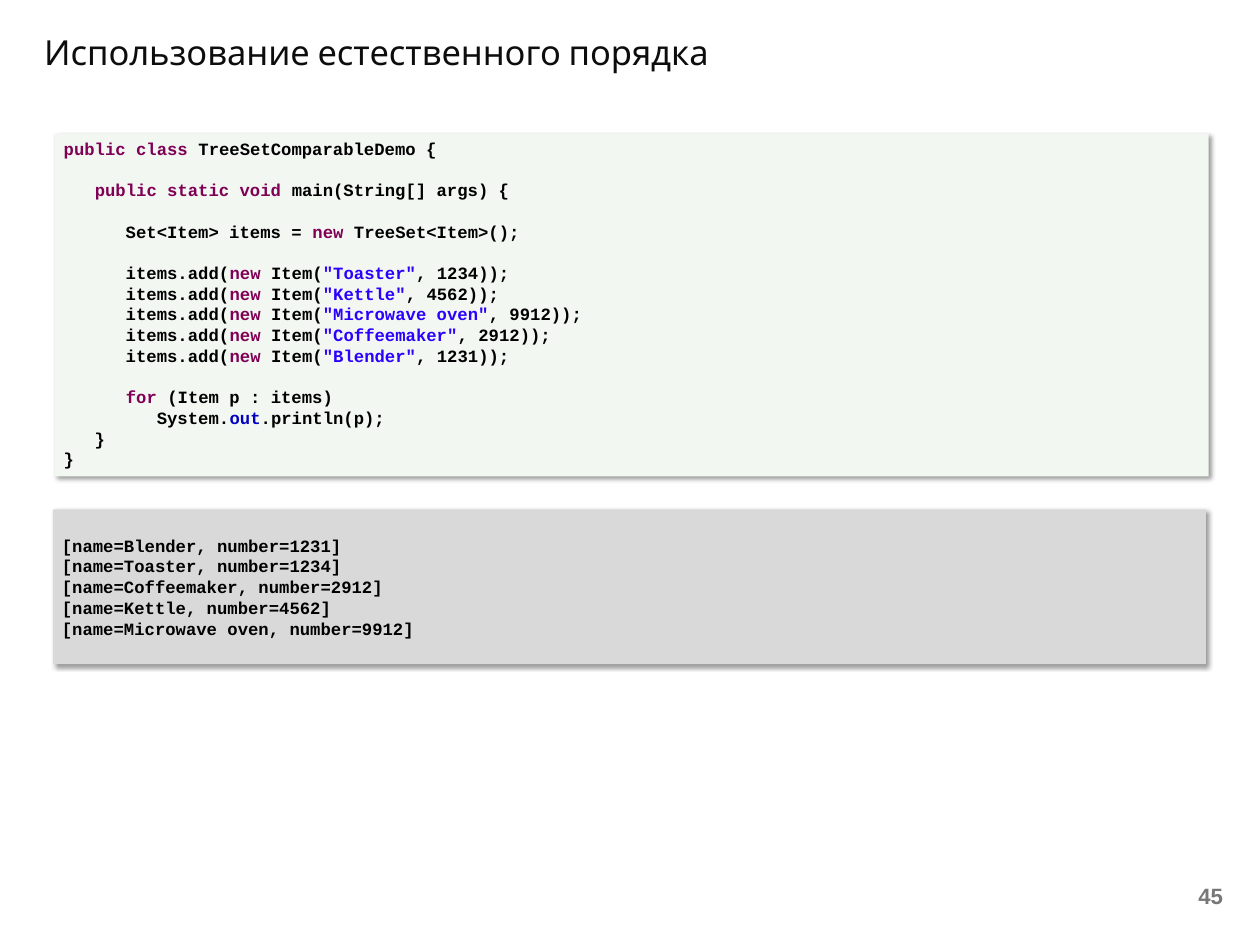
"""Build a slide with a Java sorted set demo and its output."""
from dataclasses import dataclass

from lxml import etree
from pptx import Presentation
from pptx.dml.color import RGBColor
from pptx.enum.shapes import MSO_SHAPE
from pptx.enum.text import MSO_ANCHOR, PP_ALIGN
from pptx.oxml.ns import qn
from pptx.util import Inches, Pt

RECT = MSO_SHAPE.RECTANGLE
TOP, MIDDLE = MSO_ANCHOR.TOP, MSO_ANCHOR.MIDDLE
LEFT, RIGHT = PP_ALIGN.LEFT, PP_ALIGN.RIGHT

BLACK = RGBColor(0x00, 0x00, 0x00)
INK = RGBColor(0x0D, 0x0D, 0x0D)
GREY = RGBColor(0x77, 0x77, 0x77)
PLUM = RGBColor(0x7F, 0x00, 0x55)
BLUE = RGBColor(0x2A, 0x00, 0xFF)
NAVY = RGBColor(0x00, 0x00, 0xC0)
MINT = RGBColor(0xF2, 0xF7, 0xF2)
SILVER = RGBColor(0xD9, 0xD9, 0xD9)

STEP = Pt(16.85)
WORDS = {"public class": PLUM, "public static void": PLUM, "new": PLUM,
         "for": PLUM, "out": NAVY}

CODE = """public class| TreeSetComparableDemo {

   |public static void| main(String[] args) {

      Set<Item> items = |new| TreeSet<Item>();

      items.add(|new| Item(|"Toaster"|, 1234));
      items.add(|new| Item(|"Kettle"|, 4562));
      items.add(|new| Item(|"Microwave oven"|, 9912));
      items.add(|new| Item(|"Coffeemaker"|, 2912));
      items.add(|new| Item(|"Blender"|, 1231));

      |for| (Item p : items)
         System.|out|.println(p);
   }
}"""

OUTPUT = """[name=Blender, number=1231]
[name=Toaster, number=1234]
[name=Coffeemaker, number=2912]
[name=Kettle, number=4562]
[name=Microwave oven, number=9912]"""


@dataclass
class Label:
    text: str
    box: tuple[float, float, float, float]
    font: str
    size: int
    color: RGBColor
    bold: bool
    align: PP_ALIGN
    anchor: MSO_ANCHOR


@dataclass
class Panel:
    text: str
    box: tuple[float, float, float, float]
    fill: RGBColor
    anchor: MSO_ANCHOR


LABELS = [
    Label("Использование естественного порядка", (0.4, 0.3, 11.03, 0.63),
          "Cabin", 28, INK, False, LEFT, TOP),
    Label("45", (10.58, 9.85, 3.32, 0.53),
          "Arial", 18, GREY, True, RIGHT, MIDDLE),
]
PANELS = [
    Panel(CODE, (0.62, 1.51, 13.02, 3.87), MINT, TOP),
    Panel(OUTPUT, (0.6, 5.75, 13.01, 1.75), SILVER, MIDDLE),
]


def style(para, font: str, size: int, color: RGBColor, bold: bool) -> None:
    para.font.name = font
    para.font.size = Pt(size)
    para.font.bold = bold
    para.font.color.rgb = color


def add_label(slide, label: Label) -> None:
    frame = slide.shapes.add_textbox(*map(Inches, label.box)).text_frame
    frame.word_wrap = True
    frame.vertical_anchor = label.anchor
    para = frame.paragraphs[0]
    para.text = label.text
    para.alignment = label.align
    style(para, label.font, label.size, label.color, label.bold)


def add_shadow(shape) -> None:
    shape.shadow.inherit = False
    effects = shape._element.spPr.find(qn("a:effectLst"))
    outer = etree.SubElement(effects, qn("a:outerShdw"), blurRad=str(Pt(4)),
                             dist=str(Pt(3)), dir=str(45 * 60000),
                             algn="tl", rotWithShape="0")
    color = etree.SubElement(outer, qn("a:srgbClr"), val=str(BLACK))
    etree.SubElement(color, qn("a:alpha"), val="40000")


def add_line(para, line: str) -> None:
    para.alignment = LEFT
    para.line_spacing = STEP
    style(para, "Courier New", 14, BLACK, True)
    for part in filter(None, line.split("|")):
        run = para.add_run()
        run.text = part
        tint = BLUE if part.startswith('"') else WORDS.get(part, BLACK)
        run.font.color.rgb = tint


def add_panel(slide, panel: Panel) -> None:
    shape = slide.shapes.add_shape(RECT, *map(Inches, panel.box))
    shape.fill.solid()
    shape.fill.fore_color.rgb = panel.fill
    shape.line.fill.background()
    add_shadow(shape)
    frame = shape.text_frame
    frame.word_wrap = True
    frame.vertical_anchor = panel.anchor
    for num, block in enumerate(panel.text.split("\n\n")):
        for row, line in enumerate(block.split("\n")):
            first = num == row == 0
            para = frame.paragraphs[0] if first else frame.add_paragraph()
            add_line(para, line)
            if num and not row:
                para.space_before = STEP


def main() -> None:
    deck = Presentation()
    deck.slide_width, deck.slide_height = Inches(14.22), Inches(10.67)
    slide = deck.slides.add_slide(deck.slide_layouts[6])
    for label in LABELS:
        add_label(slide, label)
    for panel in PANELS:
        add_panel(slide, panel)
    deck.save("out.pptx")


if __name__ == "__main__":
    main()
